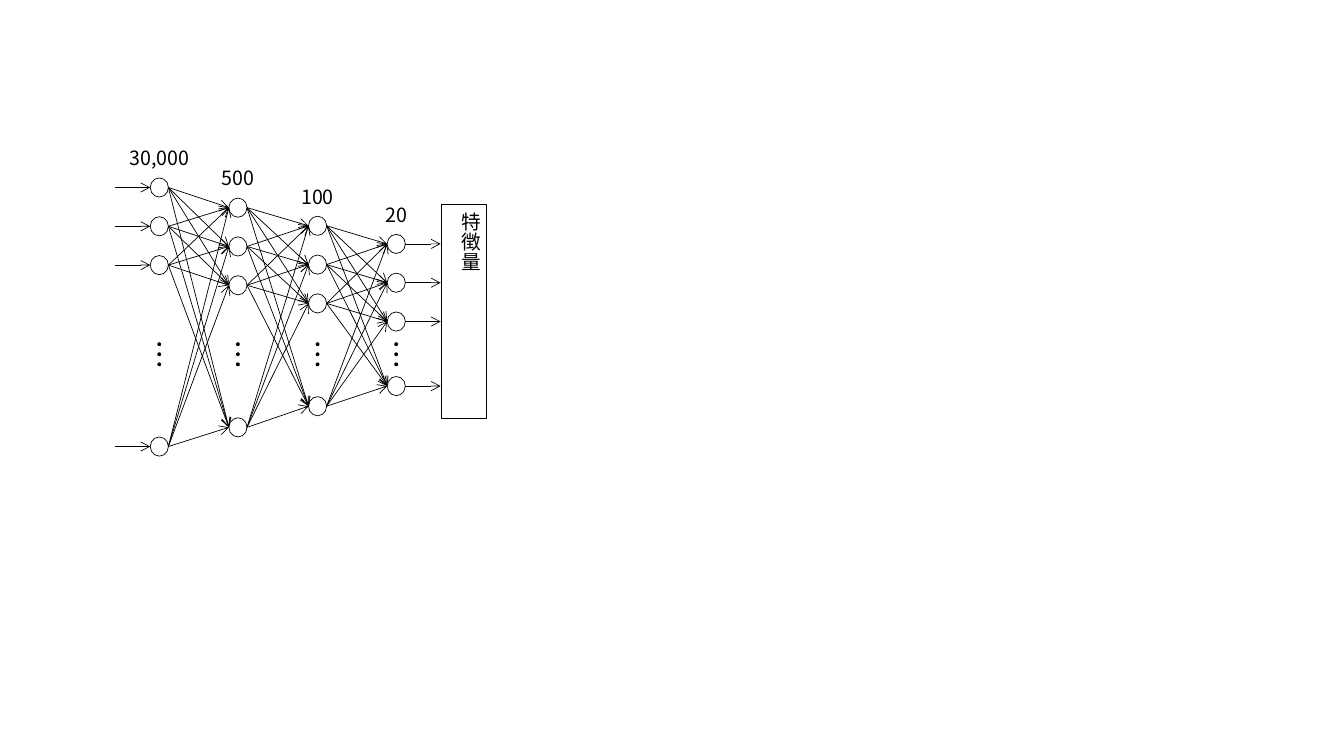
from itertools import pairwise, product

from lxml import etree
from pptx import Presentation
from pptx.dml.color import RGBColor
from pptx.enum.shapes import MSO_CONNECTOR, MSO_SHAPE
from pptx.enum.text import MSO_ANCHOR, PP_ALIGN
from pptx.oxml.ns import qn
from pptx.util import Inches, Pt

OVAL, DOT, BOX = MSO_SHAPE.OVAL, MSO_SHAPE.FLOWCHART_CONNECTOR, MSO_SHAPE.RECTANGLE
STRAIGHT = MSO_CONNECTOR.STRAIGHT
CENTER, LEFT, TOP = PP_ALIGN.CENTER, PP_ALIGN.LEFT, MSO_ANCHOR.TOP

# Content: label, left edge of the nodes, centre of the first and last node
LAYERS = [
    ("30,000", 1.49, 1.86, 4.43),
    ("500", 2.27, 2.06, 4.24),
    ("100", 3.06, 2.24, 4.03),
    ("20", 3.84, 2.42, 3.83),
]
FEATURES = "特徴量"

THEME = {
    "font": "Noto Sans CJK JP",
    "size": Pt(14),
    "ink": RGBColor(0, 0, 0),
    "line": Pt(0.5),
}

# Geometry in inches
NODE_WIDTH, NODE_HEIGHT, NODE_PITCH = 0.18, 0.19, 0.385
DOT_SIZE, DOT_PITCH, FIRST_DOT = 0.03, 0.1, 3.4
LABEL_WIDTH, LABEL_HEIGHT, LABEL_RISE = 0.91, 0.34, 0.43
ARROW_LENGTH = 0.35
FEATURE_BOX = (4.38, 2.03, 0.44, 2.12)

presentation = Presentation()
presentation.slide_width, presentation.slide_height = Inches(13.33), Inches(7.5)
slide = presentation.slides.add_slide(presentation.slide_layouts[6])
network = slide.shapes.add_group_shape().shapes


def set_line(item):
    item.line.color.rgb = THEME["ink"]
    item.line.width = THEME["line"]


def add_arrow(start, end):
    arrow = network.add_connector(STRAIGHT, *map(Inches, start + end))
    set_line(arrow)
    etree.SubElement(arrow.line._get_or_add_ln(), qn("a:tailEnd"), type="arrow")
    etree.SubElement(arrow._element.spPr, qn("a:effectLst"))


def add_outline(kind, place, filled=False):
    shape = network.add_shape(kind, *map(Inches, place))
    shape.shadow.inherit = False
    set_line(shape)
    if filled:
        shape.fill.solid()
        shape.fill.fore_color.rgb = THEME["ink"]
    else:
        shape.fill.background()
    return shape


def write(shape, text, alignment, margins):
    frame = shape.text_frame
    frame.word_wrap = True
    frame.vertical_anchor = TOP
    frame.margin_left, frame.margin_top, frame.margin_right, frame.margin_bottom = map(Inches, margins)
    paragraph = frame.paragraphs[0]
    paragraph.text = text
    paragraph.alignment = alignment
    font = paragraph.font
    font.name, font.size = THEME["font"], THEME["size"]
    font.color.rgb = THEME["ink"]
    etree.SubElement(font._element, qn("a:ea"), typeface=THEME["font"])


def node_centres(first, last):
    return [first + NODE_PITCH * row for row in range(3)] + [last]


# Links between neighbouring layers
for (_, left, *ends), (_, next_left, *next_ends) in pairwise(LAYERS):
    for y, next_y in product(node_centres(*ends), node_centres(*next_ends)):
        add_arrow((left + NODE_WIDTH, y), (next_left, next_y))

# Layers: label, nodes and ellipsis dots
for label, left, first, last in LAYERS:
    middle = left + NODE_WIDTH / 2
    place = (middle - LABEL_WIDTH / 2, first - LABEL_RISE, LABEL_WIDTH, LABEL_HEIGHT)
    write(network.add_textbox(*map(Inches, place)), label, CENTER, (0, 0.02, 0, 0))
    for y in node_centres(first, last):
        add_outline(OVAL, (left, y - NODE_HEIGHT / 2, NODE_WIDTH, NODE_HEIGHT))
    for row in range(3):
        dot_top = FIRST_DOT + DOT_PITCH * row
        add_outline(DOT, (middle - DOT_SIZE / 2, dot_top, DOT_SIZE, DOT_SIZE), filled=True)

# Arrows into the first layer and out of the last
_, first_left, *first_ends = LAYERS[0]
_, last_left, *last_ends = LAYERS[-1]
for start, ends in ((first_left - ARROW_LENGTH, first_ends), (last_left + NODE_WIDTH, last_ends)):
    for y in node_centres(*ends):
        add_arrow((start, y), (start + ARROW_LENGTH, y))

# Feature box with vertical text
features = add_outline(BOX, FEATURE_BOX)
write(features, FEATURES, LEFT, (0.04, 0.08, 0.04, 0.08))
features.text_frame._txBody.bodyPr.set("vert", "eaVert")

presentation.save("out.pptx")
